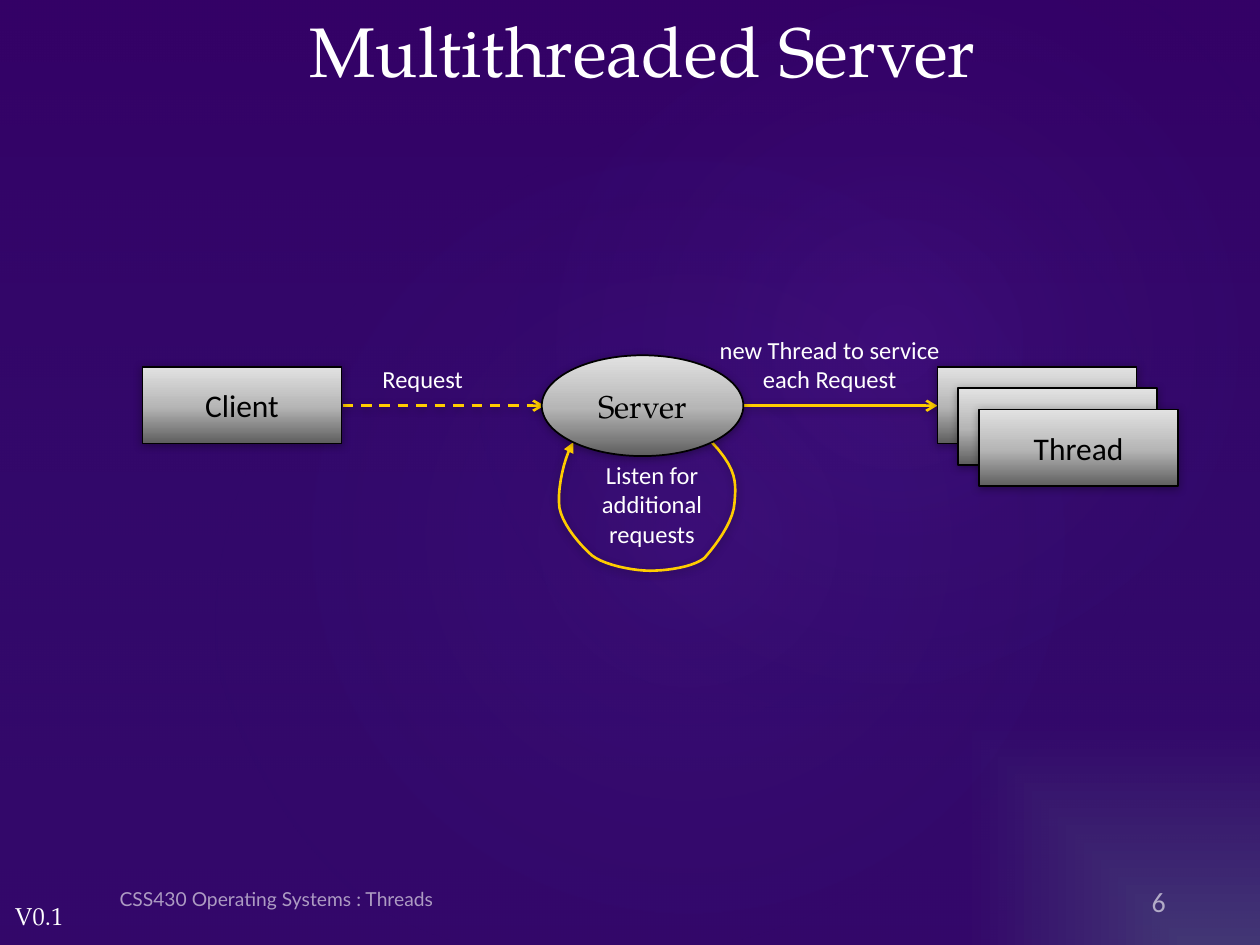
"""Build a slide showing how a multithreaded server handles requests."""
from lxml.etree import SubElement
from pptx import Presentation
from pptx.dml.color import RGBColor
from pptx.enum.dml import MSO_LINE
from pptx.enum.shapes import MSO_CONNECTOR, MSO_SHAPE
from pptx.enum.text import MSO_ANCHOR, PP_ALIGN
from pptx.oxml.ns import qn
from pptx.util import Inches, Pt

COLORS = {
    "white": "FFFFFF", "black": "000000", "yellow": "FFCC00",
    "corner": "463673", "purple": "350267", "deep": "330066",
    "blue": "263B86", "violet": "A347FF",
    "dark": "5E5E5E", "middle": "B6B6B6", "light": "E2E2E2",
}
HEADING, BODY, FOOTER = "TeX Gyre Pagella", "Calibri", "Lato"


def set_gradient(fill, element, stops, angle=None, shade="circle", focus=(50, 50, 50, 50)):
    """Fill with (position, color, opacity) stops, linear if an angle is given."""
    fill.gradient()
    gradient = next(element.iter(qn("a:gradFill")))
    for child in list(gradient):
        gradient.remove(child)
    stop_list = SubElement(gradient, qn("a:gsLst"))
    for position, color, opacity in stops:
        stop = SubElement(stop_list, qn("a:gs"), pos=str(position * 1000))
        value = SubElement(stop, qn("a:srgbClr"), val=COLORS[color])
        SubElement(value, qn("a:alpha"), val=str(opacity * 1000))
    if angle is not None:
        SubElement(gradient, qn("a:lin"), ang=str(angle * 60000), scaled="0")
    else:
        radial = SubElement(gradient, qn("a:path"), path=shade)
        sides = {side: str(value * 1000) for side, value in zip("ltrb", focus)}
        SubElement(radial, qn("a:fillToRect"), **sides)


def style_outline(shape, color, width, arrow=None, dash=None):
    """Set the line, its arrowhead and the soft shadow below it."""
    shape.line.color.rgb = RGBColor.from_string(COLORS[color])
    shape.line.width = Pt(width)
    if dash:
        shape.line.dash_style = dash
    if arrow:
        SubElement(next(shape.element.iter(qn("a:ln"))), qn("a:tailEnd"), type=arrow)
    effects = SubElement(shape.element.spPr, qn("a:effectLst"))
    shadow = SubElement(effects, qn("a:outerShdw"), blurRad=str(Pt(5)), dist=str(Pt(1)),
                        dir="5400000", rotWithShape="0")
    value = SubElement(shadow, qn("a:srgbClr"), val=COLORS["black"])
    SubElement(value, qn("a:alpha"), val="32000")


presentation = Presentation()
presentation.slide_width, presentation.slide_height = Inches(10), Inches(7.5)
slide = presentation.slides.add_slide(presentation.slide_layouts[5])
shapes = slide.shapes

set_gradient(slide.background.fill, slide.element,
             [(0, "corner", 100), (47, "purple", 100)], shade="rect", focus=(100, 100, 0, 0))
backdrops = [
    (MSO_SHAPE.RECTANGLE, (0, 0, 10, 7.5), 0, [(0, "deep", 36), (100, "blue", 10)], 90),
    (MSO_SHAPE.OVAL, (1.5, 1.14, 7.92, 6.24), 328.7, [(0, "violet", 7), (58, "blue", 0)], None),
    (MSO_SHAPE.OVAL, (3.58, 0.13, 7.09, 5.2), 328.7, [(0, "violet", 8), (58, "blue", 0)], None),
]
for kind, box, rotation, stops, angle in backdrops:
    shape = shapes.add_shape(kind, *map(Inches, box))
    shape.rotation = rotation
    shape.line.fill.background()
    shape.shadow.inherit = False
    set_gradient(shape.fill, shape.element, stops, angle)

title = shapes.title
title.element.getparent().append(title.element)
title.left, title.top, title.width, title.height = map(Inches, (0.85, 0, 8.5, 0.79))

axis = 3.22
for start, end, dash in [(2.72, 4.32, MSO_LINE.DASH), (5.9, 7.44, None)]:
    connector = shapes.add_connector(
        MSO_CONNECTOR.STRAIGHT, Inches(start), Inches(axis), Inches(end), Inches(axis))
    style_outline(connector, "yellow", 1.5, "arrow", dash)

loop_start = (5.64, 3.5)
loop_curves = [
    ((5.86, 3.73), (5.84, 3.84), (5.83, 3.99)),
    ((5.82, 4.15), (5.67, 4.34), (5.59, 4.43)),
    ((5.5, 4.5), (5.3, 4.53), (5.16, 4.53)),
    ((5.01, 4.53), (4.79, 4.48), (4.7, 4.41)),
    ((4.62, 4.34), (4.47, 4.18), (4.44, 4.03)),
    ((4.42, 3.88), (4.48, 3.62), (4.55, 3.51)),
]
steps = 10
points = []
current = loop_start
for curve in loop_curves:
    for step in range(1, steps + 1):
        t = step / steps
        weights = ((1 - t) ** 3, 3 * t * (1 - t) ** 2, 3 * t ** 2 * (1 - t), t ** 3)
        points.append([Inches(sum(weight * value for weight, value in zip(weights, values)))
                       for values in zip(current, *curve)])
    current = curve[-1]
builder = shapes.build_freeform(*map(Inches, loop_start))
builder.add_line_segments(points, close=False)
listen_loop = builder.convert_to_shape()
listen_loop.fill.background()
style_outline(listen_loop, "yellow", 1.5, "triangle")

texts = [(title, "Multithreaded Server", HEADING, 40, "white", PP_ALIGN.CENTER, MSO_ANCHOR.MIDDLE, 100)]
nodes = [("Client", MSO_SHAPE.RECTANGLE, (1.13, 2.91, 1.58, 0.61), BODY)]
nodes += [("Thread", MSO_SHAPE.RECTANGLE, (7.44 + 0.165 * i, 2.91 + 0.17 * i, 1.58, 0.61), BODY)
          for i in range(3)]
nodes.append(("Server", MSO_SHAPE.OVAL, (4.3, 2.82, 1.6, 0.8), HEADING))
for text, kind, box, font_name in nodes:
    node = shapes.add_shape(kind, *map(Inches, box))
    set_gradient(node.fill, node.element,
                 [(0, "dark", 100), (48, "middle", 100), (100, "light", 100)], 270)
    style_outline(node, "black", 1)
    texts.append((node, text, font_name, 18, "black", PP_ALIGN.CENTER, MSO_ANCHOR.MIDDLE, 100))

labels = [
    ("V0.1", (0.02, 7.1, 0.59, 0.34), HEADING, 14, PP_ALIGN.LEFT, MSO_ANCHOR.TOP, 100),
    ("6", (8.23, 6.93, 1.12, 0.4), BODY, 16, PP_ALIGN.RIGHT, MSO_ANCHOR.MIDDLE, 60),
    ("CSS430 Operating Systems : Threads", (0.85, 6.93, 5.05, 0.4), FOOTER, 11,
     PP_ALIGN.LEFT, MSO_ANCHOR.MIDDLE, 60),
    ("Request", (2.33, 2.84, 2.05, 0.34), BODY, 14, PP_ALIGN.CENTER, MSO_ANCHOR.TOP, 100),
    ("new Thread to service each Request", (5.56, 2.61, 2.05, 0.57), BODY, 14,
     PP_ALIGN.CENTER, MSO_ANCHOR.TOP, 100),
    ("Listen for\nadditional\nrequests", (4.15, 3.6, 2.05, 0.81), BODY, 14,
     PP_ALIGN.CENTER, MSO_ANCHOR.TOP, 100),
]
for text, box, font_name, size, alignment, anchor, opacity in labels:
    label = shapes.add_textbox(*map(Inches, box))
    if text == "6":
        label.text_frame.margin_bottom = Inches(0.01)
    texts.append((label, text, font_name, size, "white", alignment, anchor, opacity))

for shape, text, font_name, size, color, alignment, anchor, opacity in texts:
    frame = shape.text_frame
    frame.text = text
    frame.word_wrap = text != "V0.1"
    frame.vertical_anchor = anchor
    for paragraph in frame.paragraphs:
        paragraph.alignment = alignment
        font = paragraph.runs[0].font
        for name, value in {"name": font_name, "size": Pt(size)}.items():
            setattr(font, name, value)
        font.color.rgb = RGBColor.from_string(COLORS[color])
        if opacity < 100:
            value = next(paragraph.runs[0].font.fill._xPr.iter(qn("a:srgbClr")))
            SubElement(value, qn("a:alpha"), val=str(opacity * 1000))

presentation.save("out.pptx")
